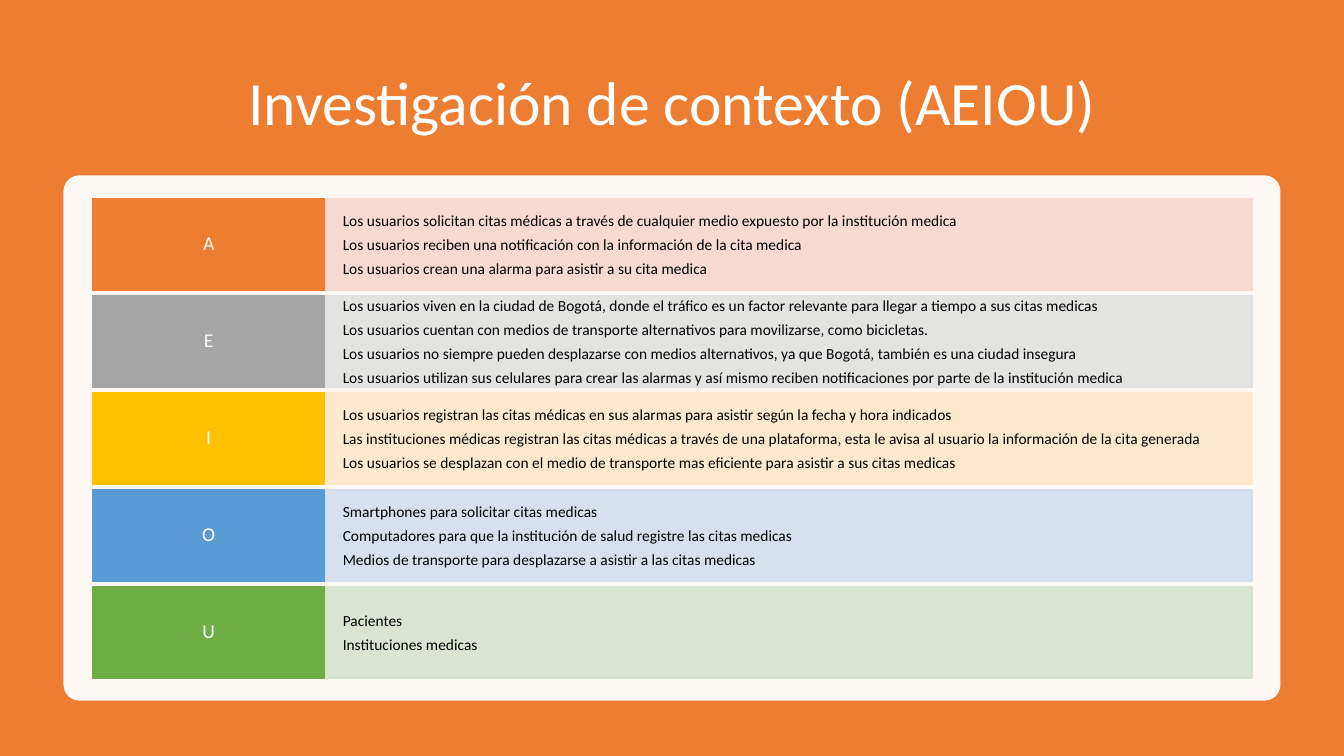
from lxml.etree import SubElement
from pptx import Presentation
from pptx.dml.color import RGBColor
from pptx.enum.shapes import MSO_SHAPE
from pptx.enum.text import MSO_ANCHOR, PP_ALIGN
from pptx.oxml.ns import qn
from pptx.util import Inches, Pt

COLORS = {
    "background": "ED7D31", "white": "FFFFFF", "black": "000000",
    "A": "ED7D31", "A light": "F8D7CE",
    "E": "A5A5A5", "E light": "E1E1E1",
    "I": "FFC000", "I light": "FFE8CC",
    "O": "5B9BD5", "O light": "D2DEEF",
    "U": "70AD47", "U light": "D5E3CF",
}

ROWS = {
    "A": [
        "Los usuarios solicitan citas médicas a través de cualquier medio expuesto por la institución medica",
        "Los usuarios reciben una notificación con la información de la cita medica",
        "Los usuarios crean una alarma para asistir a su cita medica",
    ],
    "E": [
        "Los usuarios viven en la ciudad de Bogotá, donde el tráfico es un factor relevante para llegar a tiempo a sus citas medicas",
        "Los usuarios cuentan con medios de transporte alternativos para movilizarse, como bicicletas.",
        "Los usuarios no siempre pueden desplazarse con medios alternativos, ya que Bogotá, también es una ciudad insegura",
        "Los usuarios utilizan sus celulares para crear las alarmas y así mismo reciben notificaciones por parte de la institución medica",
    ],
    "I": [
        "Los usuarios registran las citas médicas en sus alarmas para asistir según la fecha y hora indicados",
        "Las instituciones médicas registran las citas médicas a través de una plataforma, esta le avisa al usuario la información de la cita generada",
        "Los usuarios se desplazan con el medio de transporte mas eficiente para asistir a sus citas medicas",
    ],
    "O": [
        "Smartphones para solicitar citas medicas",
        "Computadores para que la institución de salud registre las citas medicas",
        "Medios de transporte para desplazarse a asistir a las citas medicas",
    ],
    "U": ["Pacientes", "Instituciones medicas"],
}


class SlideBuilder:
    """Holds the text style and the current slide, and adds elements to it."""

    def __init__(self, slide, font_name):
        self.slide = slide
        self.font_name = font_name

    def apply(self, target, values):
        for name, value in values.items():
            setattr(target, name, value)

    def paint(self, fill, color, opacity):
        fill.solid()
        fill.fore_color.rgb = RGBColor.from_string(COLORS[color])
        if opacity < 100:
            color_element = fill._xPr.find(qn("a:solidFill"))[0]
            SubElement(color_element, qn("a:alpha"), val=str(opacity * 1000))

    def block(self, box, color, opacity=100, kind=MSO_SHAPE.RECTANGLE, outlined=False):
        shape = self.slide.shapes.add_shape(kind, *map(Inches, box))
        shape.shadow.inherit = False
        self.paint(shape.fill, color, opacity)
        if outlined:
            shape.line.width = Pt(1)
            self.paint(shape.line.fill, color, opacity)
        else:
            shape.line.fill.background()
        return shape

    def text(self, shape, lines, size, color, alignment, margin=0.1, spacing=1.0):
        frame = shape.text_frame
        self.apply(frame, {
            "word_wrap": True, "vertical_anchor": MSO_ANCHOR.MIDDLE,
            "margin_left": Inches(margin), "margin_right": Inches(margin),
            "margin_top": 0, "margin_bottom": 0,
        })
        frame.text = "\n".join(lines)
        for paragraph in frame.paragraphs:
            self.apply(paragraph, {"alignment": alignment, "line_spacing": spacing})
            self.apply(paragraph.font, {"name": self.font_name, "size": Pt(size)})
            paragraph.font.color.rgb = RGBColor.from_string(COLORS[color])
        for paragraph in frame.paragraphs[:-1]:
            paragraph.space_after = Pt(3.85)

    def title(self, box, wording):
        shape = self.slide.shapes.add_textbox(*map(Inches, box))
        self.text(shape, [wording], 44, "white", PP_ALIGN.CENTER, spacing=0.9)

    def row(self, top, letter, lines):
        detail = self.block((3.22, top, 9.2, 0.91), f"{letter} light", 90, outlined=True)
        self.text(detail, lines, 11, "black", PP_ALIGN.LEFT, margin=0.18)
        label = self.block((0.92, top, 2.3, 0.91), letter, outlined=True)
        self.text(label, [letter], 14, "white", PP_ALIGN.CENTER, spacing=0.9)


def main():
    presentation = Presentation()
    presentation.slide_width = Inches(13.33)
    presentation.slide_height = Inches(7.5)
    slide = presentation.slides.add_slide(presentation.slide_layouts[6])
    builder = SlideBuilder(slide, "Calibri")

    builder.block((0, 0, 13.33, 7.5), "background")
    builder.title((0.92, 0.5, 11.5, 1.1), "Investigación de contexto (AEIOU)")
    panel = builder.block((0.63, 1.74, 12.07, 5.21), "white", 95, MSO_SHAPE.ROUNDED_RECTANGLE)
    panel.adjustments[0] = 0.03
    for index, (letter, lines) in enumerate(ROWS.items()):
        builder.row(1.97 + index * 0.9625, letter, lines)

    presentation.save("out.pptx")


if __name__ == "__main__":
    main()
